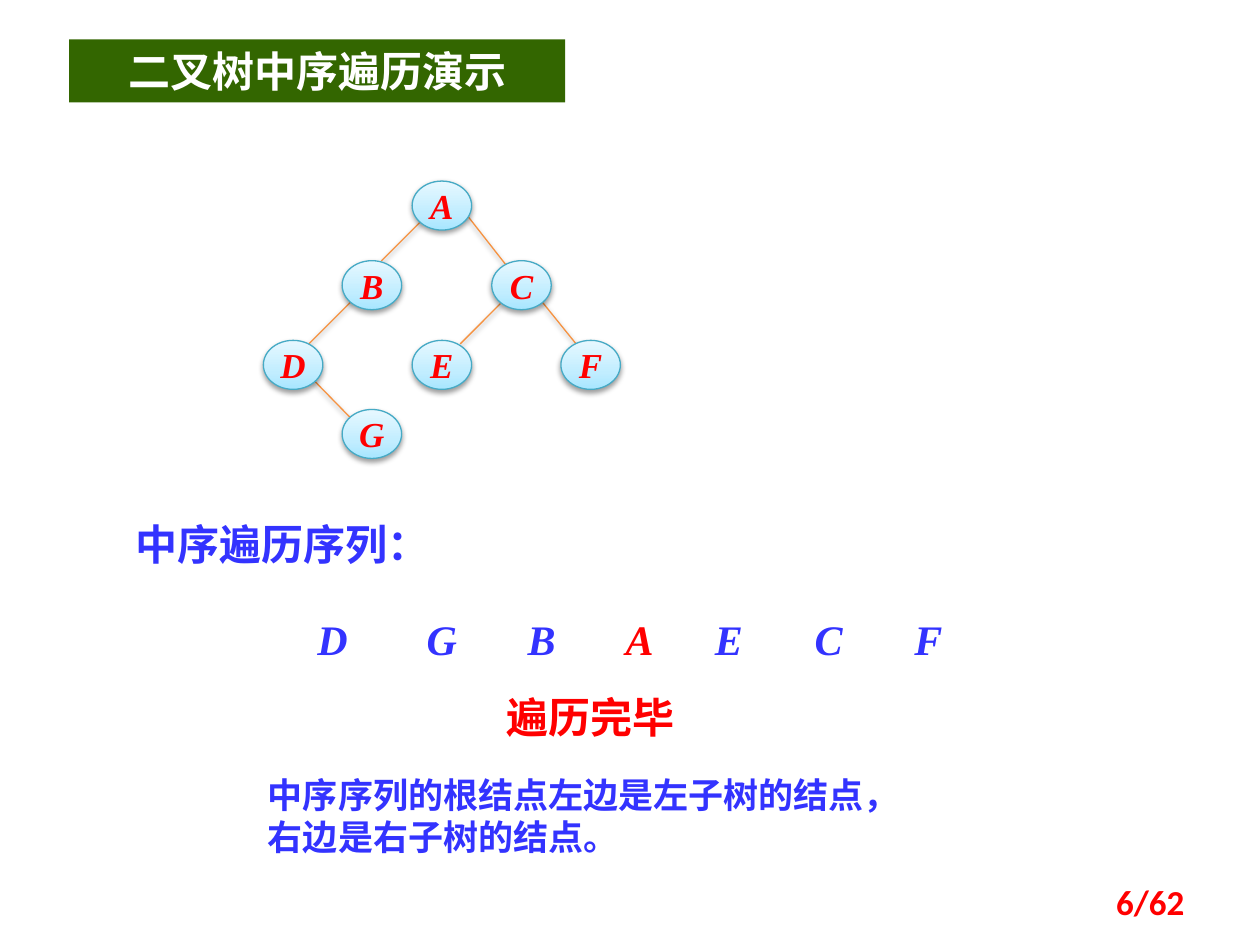
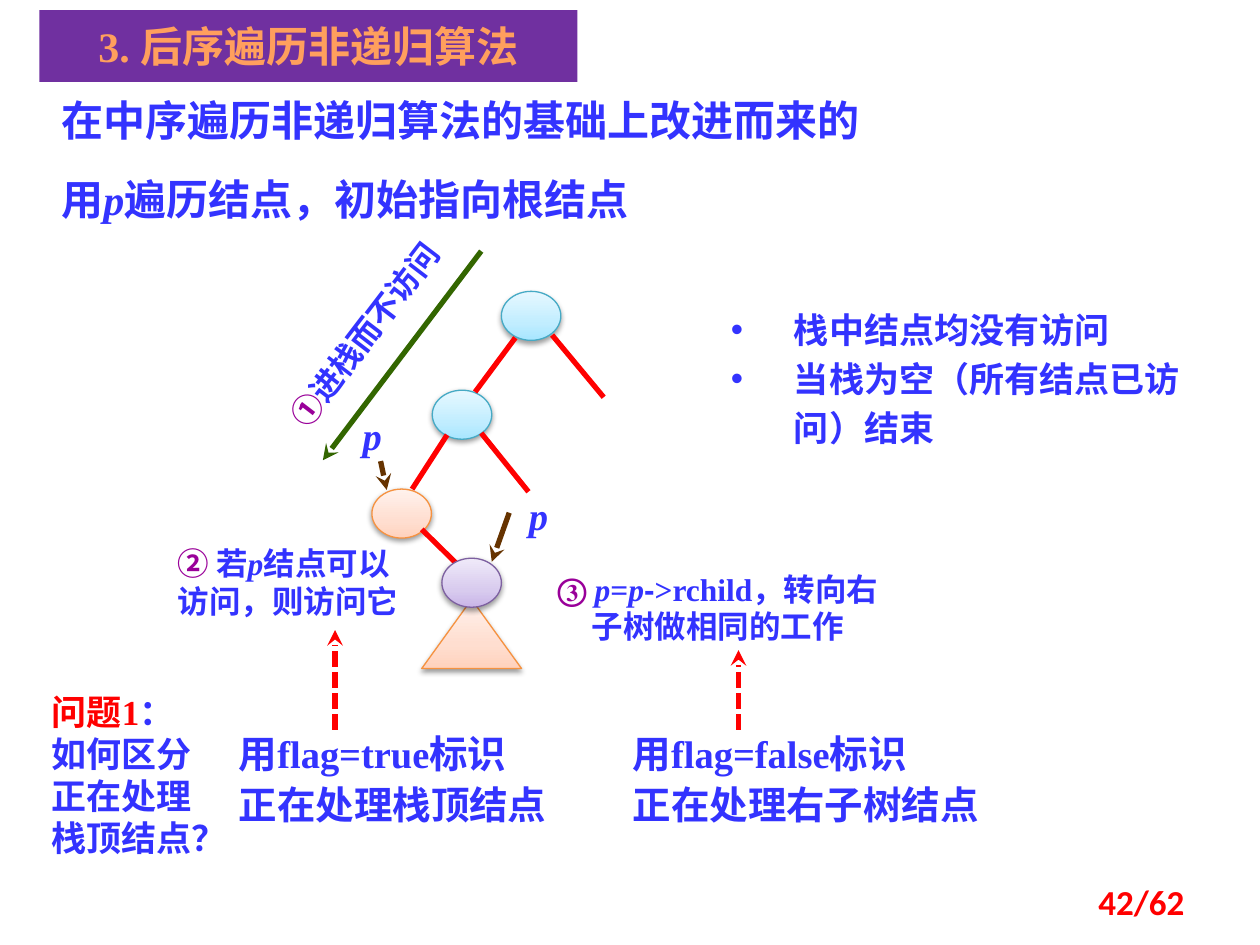
from lxml.etree import SubElement
from pptx import Presentation
from pptx.dml.color import RGBColor
from pptx.enum.dml import MSO_LINE
from pptx.enum.shapes import MSO_CONNECTOR, MSO_SHAPE
from pptx.enum.text import MSO_ANCHOR, MSO_AUTO_SIZE, PP_ALIGN
from pptx.oxml.ns import qn
from pptx.util import Pt

BLUE = RGBColor(0x33, 0x33, 0xFF)
RED = RGBColor(0xFF, 0x00, 0x00)
WHITE = RGBColor(0xFF, 0xFF, 0xFF)
GREEN = RGBColor(0x33, 0x66, 0x00)
PURPLE = RGBColor(0x70, 0x30, 0xA0)
PEACH = RGBColor(0xFF, 0x9F, 0x5D)
BROWN = RGBColor(0x66, 0x33, 0x00)
VIOLET = RGBColor(0x99, 0x00, 0x99)
ORANGE = RGBColor(0xF6, 0x92, 0x40)

# Outline, then gradient colours from bottom to top
AQUA_NODE = RGBColor(0x46, 0xAA, 0xC5), ("A7E6FF", "C1EDFF", "E7F8FF")
ORANGE_NODE = ORANGE, ("FFD2BD", "FFDED0", "FFF2ED")
PURPLE_NODE = RGBColor(0x7D, 0x60, 0xA0), ("C9B5E8", "D8CBEE", "F0EAF9")
NODE_SIZE = (34, 28)

SERIF = "Times New Roman"
CJK = "Noto Sans CJK SC"
LEFT, CENTER, RIGHT = PP_ALIGN.LEFT, PP_ALIGN.CENTER, PP_ALIGN.RIGHT


def write(shape, paragraphs, size, color=BLUE, font=SERIF, align=LEFT,
          italic=False, inset=True, bullet=False, line=None, before=0):
    """Each paragraph is a string or a list of (text, color, italic) runs."""
    frame = shape.text_frame
    frame.word_wrap = True
    frame.auto_size = MSO_AUTO_SIZE.NONE
    if not inset:
        frame.margin_left = frame.margin_right = 0
        frame.margin_top = frame.margin_bottom = 0
    for index, runs in enumerate(paragraphs):
        paragraph = frame.add_paragraph() if index else frame.paragraphs[0]
        paragraph.alignment = align
        paragraph.space_before = Pt(before if index else 0)
        if line:
            paragraph.line_spacing = Pt(line)
        properties = paragraph._p.get_or_add_pPr()
        if bullet:
            properties.set("marL", str(Pt(36)))
            properties.set("indent", str(Pt(-36)))
            SubElement(properties, qn("a:buChar")).set("char", "•")
        paragraph.font.size = Pt(size)
        paragraph.font.bold = True
        paragraph.font.italic = italic
        paragraph.font.name = font
        paragraph.font.color.rgb = color
        SubElement(properties.find(qn("a:defRPr")), qn("a:ea")).set("typeface", CJK)
        if isinstance(runs, str):
            paragraph.add_run().text = runs
            continue
        for text, run_color, run_italic in runs:
            run = paragraph.add_run()
            run.text = text
            run.font.color.rgb = run_color
            run.font.italic = run_italic


def add_line(slide, x1, y1, x2, y2, color, width=3, arrow=False, dotted=False):
    connector = slide.shapes.add_connector(
        MSO_CONNECTOR.STRAIGHT, Pt(x1), Pt(y1), Pt(x2), Pt(y2))
    connector.line.color.rgb = color
    connector.line.width = Pt(width)
    if dotted:
        connector.line.dash_style = MSO_LINE.SQUARE_DOT
    if arrow:
        outline = connector.line._get_or_add_ln()
        SubElement(outline, qn("a:tailEnd")).set("type", "stealth")
    SubElement(connector._element.spPr, qn("a:effectLst"))
    return connector


prs = Presentation()
prs.slide_width, prs.slide_height = Pt(720), Pt(540)
inorder = prs.slides.add_slide(prs.slide_layouts[5])
postorder = prs.slides.add_slide(prs.slide_layouts[1])
shaded = []    # (shape, node palette)
shadowed = []  # shapes with a soft drop shadow

# Title bands and page numbers
for slide, heading, band, fill, color, font, page in (
    (inorder, "二叉树中序遍历演示", (39.5, 22.5, 283.5, 36), GREEN, WHITE, CJK, "6/62"),
    (postorder, "3. 后序遍历非递归算法", (22.5, 5.75, 307.5, 41), PURPLE, PEACH, SERIF, "42/62"),
):
    title = slide.shapes.title
    title.left, title.top, title.width, title.height = map(Pt, band)
    title.fill.solid()
    title.fill.fore_color.rgb = fill
    title.text_frame.vertical_anchor = MSO_ANCHOR.MIDDLE
    write(title, [heading], 24, color, font, CENTER)
    number = slide.shapes.add_textbox(Pt(516), Pt(500.5), Pt(168), Pt(29))
    number.text_frame.vertical_anchor = MSO_ANCHOR.MIDDLE
    write(number, [page], 20, RED, "Calibri", RIGHT)

# Slide 1: tree branches
for branch in (
    (178.5, 216.5, 201.5, 240),
    (241, 126, 218, 149),
    (266.5, 122.5, 290, 152.5),
    (201.5, 171.5, 173, 200),
    (286, 173.5, 263, 196.5),
    (309, 171.5, 332, 200),
):
    shadowed.append(add_line(inorder, *branch, ORANGE, 0.75))

# Slide 1: tree nodes, and their letters in visiting order
for letter, left, top, sequence_left in (
    ("D", 150.5, 194.5, 161.5),
    ("G", 195.5, 234, 224),
    ("B", 195.5, 149, 281),
    ("A", 235.5, 103.5, 337),
    ("E", 235.5, 194.5, 388),
    ("C", 281, 149, 445),
    ("F", 320.5, 194.5, 502),
):
    node = inorder.shapes.add_shape(
        MSO_SHAPE.OVAL, *map(Pt, (left, top, *NODE_SIZE)))
    node.text_frame.vertical_anchor = MSO_ANCHOR.MIDDLE
    write(node, [letter], 20, RED, align=CENTER, italic=True, inset=False)
    shaded.append((node, AQUA_NODE))
    visited = inorder.shapes.add_textbox(Pt(sequence_left), Pt(347), Pt(57), Pt(36))
    write(visited, [letter], 24, RED if letter == "A" else BLUE,
          align=CENTER, italic=True)

# Slide 1: captions
for caption, box, size, color, align in (
    (["中序遍历序列："], (70.5, 292.5, 204.5, 36), 24, BLUE, LEFT),
    (["遍历完毕"], (241, 391.5, 193, 36), 24, RED, CENTER),
    (["中序序列的根结点左边是左子树的结点，", "右边是右子树的结点。"],
     (146, 438.5, 466.5, 55.5), 20, BLUE, LEFT),
):
    write(inorder.shapes.add_textbox(*map(Pt, box)), caption, size, color, CJK, align)

# Slide 2: tree nodes and branches, the right child on top
for left, top, palette in (
    (286.5, 166.5, AQUA_NODE),
    (247, 223, AQUA_NODE),
    (212.5, 279.5, ORANGE_NODE),
):
    node = postorder.shapes.add_shape(
        MSO_SHAPE.OVAL, *map(Pt, (left, top, *NODE_SIZE)))
    shaded.append((node, palette))
for branch in (
    (294.5, 193, 271.5, 224),
    (255.5, 248.5, 235.5, 279.5),
    (315.5, 191.5, 345, 227),
    (275, 247.5, 302, 281),
    (241, 302.5, 269.5, 330.5),
):
    add_line(postorder, *branch, RED)
subtree = postorder.shapes.add_shape(
    MSO_SHAPE.ISOSCELES_TRIANGLE, Pt(241), Pt(342.5), Pt(57), Pt(39.5))
right_child = postorder.shapes.add_shape(
    MSO_SHAPE.OVAL, *map(Pt, (252.5, 319, *NODE_SIZE)))
shaded += [(subtree, ORANGE_NODE), (right_child, PURPLE_NODE)]

# Slide 2: arrows
for x1, y1, x2, y2, color, dotted in (
    (217.5, 263.5, 221, 280, BROWN, False),
    (275, 143.5, 184.5, 263, GREEN, False),
    (291, 293, 281, 321, BROWN, False),
    (191.5, 417, 191.5, 360, RED, True),
    (422, 417, 422, 371.5, RED, True),
):
    add_line(postorder, x1, y1, x2, y2, color, arrow=True, dotted=dotted)

# Slide 2: introduction and remarks
for sentence, box, font in (
    ("在中序遍历非递归算法的基础上改进而来的", (28, 50.5, 499, 36), CJK),
    ([("用", BLUE, False), ("p", BLUE, True), ("遍历结点，初始指向根结点", BLUE, False)],
     (28, 95.5, 360, 36), SERIF),
):
    write(postorder.shapes.add_textbox(*map(Pt, box)), [sentence], 24, font=font)

remarks = postorder.placeholders[1]
remarks.left, remarks.top, remarks.width, remarks.height = map(Pt, (410.5, 168.5, 286.5, 92))
write(remarks, ["栈中结点均没有访问", "当栈为空（所有结点已访问）结束"],
      20, bullet=True, line=28)

# Slide 2: pointers and the three steps
for left, top in ((201.5, 235.5), (296.5, 281)):
    pointer = postorder.shapes.add_textbox(Pt(left), Pt(top), Pt(22.5), Pt(26.5))
    write(pointer, ["p"], 22, align=CENTER, italic=True, inset=False)

push = postorder.shapes.add_textbox(Pt(106), Pt(176.5), Pt(204.5), Pt(29))
push.rotation = 307.4
write(push, [[("①", VIOLET, False), ("进栈而不访问", BLUE, False)]], 18, align=CENTER)

visit = postorder.shapes.add_textbox(Pt(101.5), Pt(311), Pt(135.5), Pt(44))
write(visit, [[("② ", VIOLET, False), ("若", BLUE, False), ("p", BLUE, True),
               ("结点可以访问，则访问它", BLUE, False)]], 18, inset=False)

turn = postorder.shapes.add_textbox(Pt(314.5), Pt(325.5), Pt(191.5), Pt(44))
write(turn, [[("③ ", VIOLET, False), ("p", BLUE, True), ("=", BLUE, False),
              ("p", BLUE, True), ("-", BLUE, False),
              (">rchild，转向右子树做相同的工作", BLUE, False)]],
      18, align=CENTER, inset=False)
turn.text_frame.paragraphs[0].runs[4].font.name = "Arial"

# Slide 2: question and flags
question = postorder.shapes.add_textbox(Pt(22.5), Pt(391), Pt(106.5), Pt(104.5))
write(question, [[("问题1", RED, False), ("：", BLUE, False)],
                 "如何区分正在处理栈顶结点？"], 20)
for flag, target, left, width in (
    ("true", "栈顶结点", 129.5, 202.5),
    ("false", "右子树结点", 354.5, 225.5),
):
    marker = postorder.shapes.add_textbox(Pt(left), Pt(422), Pt(width), Pt(57.5))
    write(marker, [f"用flag={flag}标识", f"正在处理{target}"], 22, line=18, before=11)

# Gradient and outline of the nodes
for shape, (outline, colors) in shaded:
    shape.fill.gradient()
    shape.fill.gradient_angle = 90
    stops = shape._element.spPr.find(qn("a:gradFill")).find(qn("a:gsLst"))
    stops.clear()
    for position, color in zip((0, 35, 100), colors):
        stop = SubElement(stops, qn("a:gs"), pos=str(position * 1000))
        SubElement(stop, qn("a:srgbClr"), val=color)
    shape.line.color.rgb = outline
    shape.line.width = Pt(0.75)
    shape.shadow.inherit = False
    shadowed.append(shape)

# Soft shadow below nodes and branches
for shape in shadowed:
    effects = shape._element.spPr.find(qn("a:effectLst"))
    shadow = SubElement(effects, qn("a:outerShdw"), blurRad=str(Pt(3.1)),
                        dist=str(Pt(1.6)), dir="5400000", rotWithShape="0")
    black = SubElement(shadow, qn("a:srgbClr"), val="000000")
    SubElement(black, qn("a:alpha"), val="38000")

prs.save("out.pptx")
